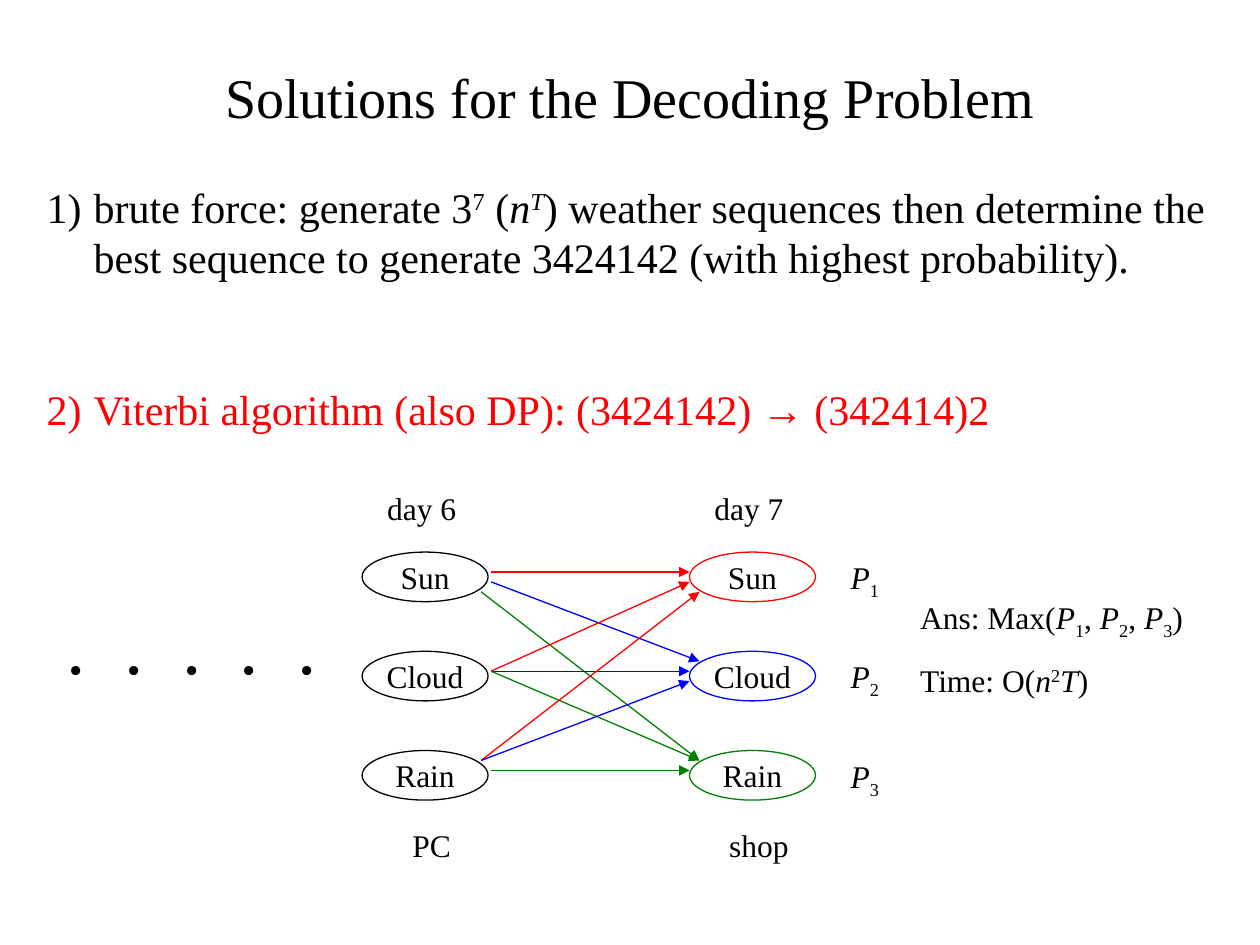
from dataclasses import dataclass
from typing import NamedTuple

from lxml import etree
from pptx import Presentation
from pptx.dml.color import RGBColor
from pptx.enum.shapes import MSO_CONNECTOR, MSO_SHAPE
from pptx.enum.text import MSO_ANCHOR, MSO_AUTO_SIZE, PP_ALIGN
from pptx.oxml.ns import qn
from pptx.util import Cm, Pt

STRAIGHT, ELLIPSE = MSO_CONNECTOR.STRAIGHT, MSO_SHAPE.OVAL
LEFT, CENTER = PP_ALIGN.LEFT, PP_ALIGN.CENTER
TOP, MIDDLE = MSO_ANCHOR.TOP, MSO_ANCHOR.MIDDLE
GROW, FIXED = MSO_AUTO_SIZE.SHAPE_TO_FIT_TEXT, MSO_AUTO_SIZE.NONE

BLACK, RED, BLUE, GREEN = "000000", "FF0000", "0000FF", "008000"
FONT = "Times New Roman"
SUPER, SUB = 30000, -25000

# State grid, in centimetres
ROW_TOP, ROW_PITCH = 11.13, 2.0
NODE_WIDTH, NODE_HEIGHT = 2.54, 1.0
DAY_6, DAY_7 = 7.3, 13.9
LABEL_WIDTH = 2.4


class Span(NamedTuple):
    text: str
    italic: bool = False
    baseline: int = 0
    font: str = FONT


class Point(NamedTuple):
    x: float
    dy: float  # below the top of the state's row


@dataclass
class State:
    name: str
    color: str
    starts: list[Point]  # one arrow to each state of day 7
    ends: list[Point]  # one arrow from each state of day 6


@dataclass
class Label:
    spans: list[Span]
    left: float
    top: float
    width: float
    height: float
    size: float = 18
    align: PP_ALIGN = LEFT
    anchor: MSO_ANCHOR = TOP
    spacing: float = 0  # between characters, in points


def rgb(color: str) -> RGBColor:
    return RGBColor.from_string(color)


def write(para, spans: list[Span], size: float, color: str = BLACK, spacing: float = 0) -> None:
    for span in spans:
        run = para.add_run()
        run.text = span.text
        values = {"name": span.font, "size": Pt(size), "italic": span.italic}
        for attribute, value in values.items():
            setattr(run.font, attribute, value)
        run.font.color.rgb = rgb(color)
        if span.baseline:
            run.font._element.set("baseline", str(span.baseline))
        if spacing:
            run.font._element.set("spc", str(round(spacing * 100)))


def add_label(page, label: Label):
    box = page.shapes.add_textbox(Cm(label.left), Cm(label.top), Cm(label.width), Cm(label.height))
    frame = box.text_frame
    values = {"word_wrap": True, "vertical_anchor": label.anchor,
              "auto_size": GROW if label.anchor == TOP else FIXED}
    for attribute, value in values.items():
        setattr(frame, attribute, value)
    frame.paragraphs[0].alignment = label.align
    write(frame.paragraphs[0], label.spans, label.size, spacing=label.spacing)
    return frame


def add_node(page, name: str, color: str, left: float, top: float) -> None:
    node = page.shapes.add_shape(ELLIPSE, Cm(left), Cm(top), Cm(NODE_WIDTH), Cm(NODE_HEIGHT))
    node.shadow.inherit = False
    node.fill.background()
    node.line.color.rgb = rgb(color)
    node.line.width = Pt(0.75)
    node.text_frame.word_wrap = False
    node.text_frame.vertical_anchor = MIDDLE
    node.text_frame.paragraphs[0].alignment = CENTER
    write(node.text_frame.paragraphs[0], [Span(name)], 18)


def add_arrow(page, start: Point, start_top: float, end: Point, end_top: float, color: str) -> None:
    arrow = page.shapes.add_connector(STRAIGHT, Cm(start.x), Cm(start_top + start.dy),
                                      Cm(end.x), Cm(end_top + end.dy))
    arrow.line.color.rgb = rgb(color)
    arrow.line.width = Pt(0.75)
    etree.SubElement(arrow.line._get_or_add_ln(), qn("a:tailEnd"), type="triangle")
    etree.SubElement(arrow._element.spPr, qn("a:effectLst"))


def add_number(para, color: str) -> None:
    properties = para._p.get_or_add_pPr()
    properties.set("marL", str(Cm(0.95)))
    properties.set("indent", str(-Cm(0.95)))
    bullet_color = etree.SubElement(properties, qn("a:buClr"))
    etree.SubElement(bullet_color, qn("a:srgbClr"), val=color)
    etree.SubElement(properties, qn("a:buFont"), typeface=FONT)
    etree.SubElement(properties, qn("a:buAutoNum"), type="arabicParenR")


def variable(number: int) -> list[Span]:
    return [Span("P", True), Span(str(number), baseline=SUB)]


def main() -> None:
    deck = Presentation()
    deck.slide_width, deck.slide_height = Cm(25.4), Cm(19.05)
    page = deck.slides.add_slide(deck.slide_layouts[6])

    # Title
    add_label(page, Label([Span("Solutions for the Decoding Problem")], 1.27, 0.76, 22.86, 2.36,
                          size=32, align=CENTER, anchor=MIDDLE))

    # Numbered solutions
    brute_force = [Span("brute force: generate 3"), Span("7", baseline=SUPER), Span(" ("),
                   Span("n", True), Span("T", True, SUPER),
                   Span(") weather sequences then determine the best sequence to generate "
                        "3424142 (with highest probability).")]
    viterbi = [Span("Viterbi algorithm (also DP): (3424142) "), Span("→", font="Arial"),
               Span(" (342414)2")]
    frame = add_label(page, Label(brute_force, 0.69, 3.53, 24.2, 5.38, size=24))
    add_number(frame.paragraphs[0], BLACK)
    second = frame.add_paragraph()
    add_number(second, RED)
    second.space_before = Pt(58)
    write(second, viterbi, 24, RED)

    # States of both days
    states = [
        State("Sun", RED, [Point(9.9, 0.4), Point(9.9, 0.6), Point(9.7, 0.8)],
              [Point(13.9, 0.4), Point(13.9, 0.6), Point(14.1, 0.8)]),
        State("Cloud", BLUE, [Point(9.9, 0.4)] * 3,
              [Point(14.1, 0.2), Point(13.9, 0.4), Point(13.9, 0.6)]),
        State("Rain", GREEN, [Point(9.7, 0.2), Point(9.7, 0.2), Point(9.9, 0.4)],
              [Point(14.1, 0.2), Point(14.1, 0.2), Point(13.9, 0.4)]),
    ]
    tops = [ROW_TOP + row * ROW_PITCH for row in range(len(states))]
    for state, top in zip(states, tops):
        add_node(page, state.name, BLACK, DAY_6, top)
    for state, top in zip(states, tops):
        add_node(page, state.name, state.color, DAY_7, top)

    # Column headings and captions
    for heading, caption, left in (("day 6", "PC", DAY_6), ("day 7", "shop", DAY_7)):
        add_label(page, Label([Span(heading)], left, 9.73, LABEL_WIDTH, 1.02, align=CENTER))
        add_label(page, Label([Span(caption)], left + 0.2, 16.53, LABEL_WIDTH, 1.02, align=CENTER))

    # Transitions
    for i, source in enumerate(states):
        for j, target in enumerate(states):
            add_arrow(page, source.starts[j], tops[i], target.ends[i], tops[j], target.color)

    # Earlier days
    add_label(page, Label([Span(". . . . .")], 1.1, 11.93, 6, 2.13, size=44, spacing=5.5))

    # Probabilities and result
    for number, top in enumerate(tops, 1):
        add_label(page, Label(variable(number), 16.9, top, 1.2, 1.12))
    answer = [Span("Ans: Max("), *variable(1), Span(", "), *variable(2), Span(", "),
              *variable(3), Span(")")]
    frame = add_label(page, Label(answer, 18.3, 11.93, 6.2, 2.29))
    time = frame.add_paragraph()
    time.space_before = Pt(11.2)
    write(time, [Span("Time: O("), Span("n", True), Span("2", baseline=SUPER),
                 Span("T", True), Span(")")], 18)

    deck.save("out.pptx")


if __name__ == "__main__":
    main()
